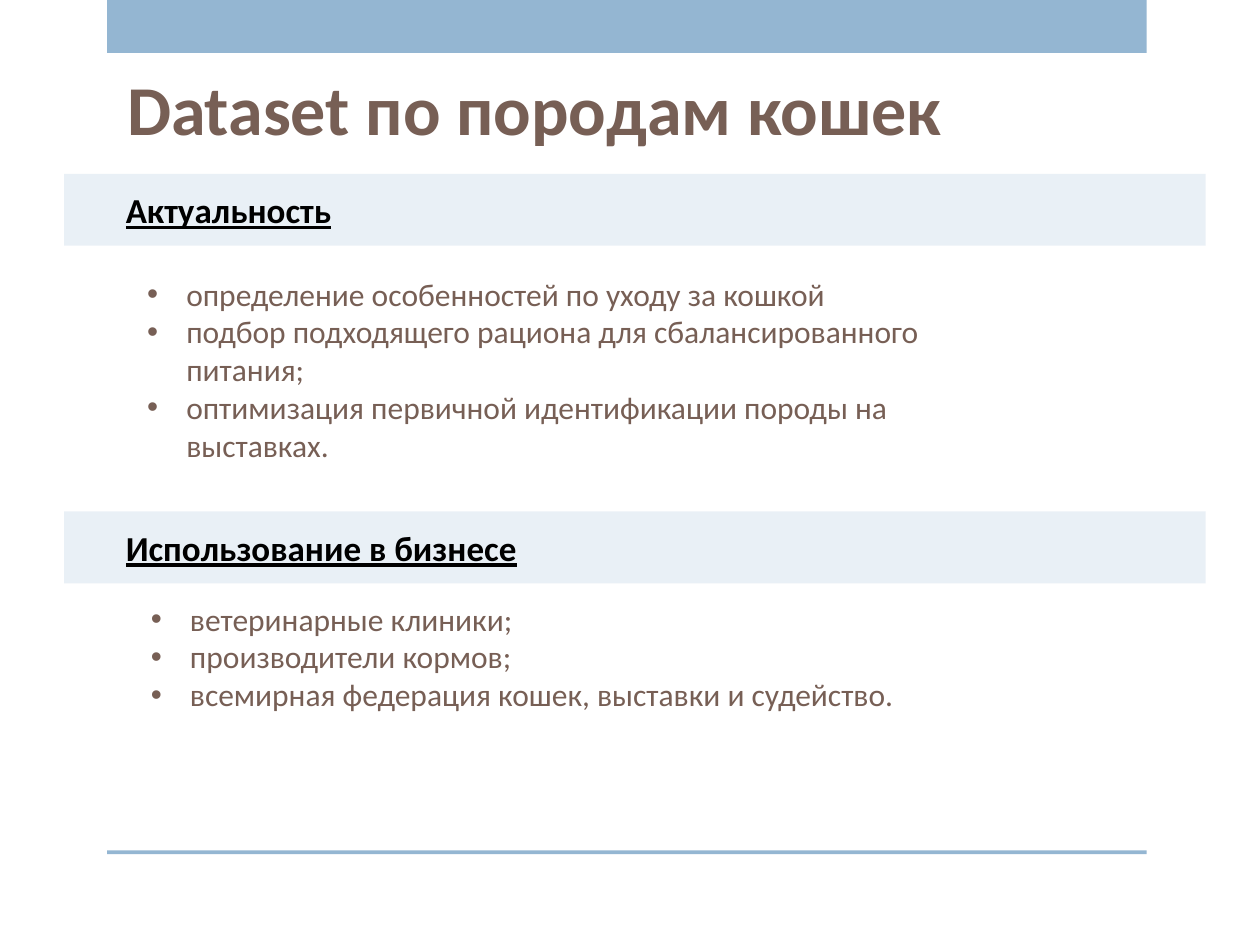
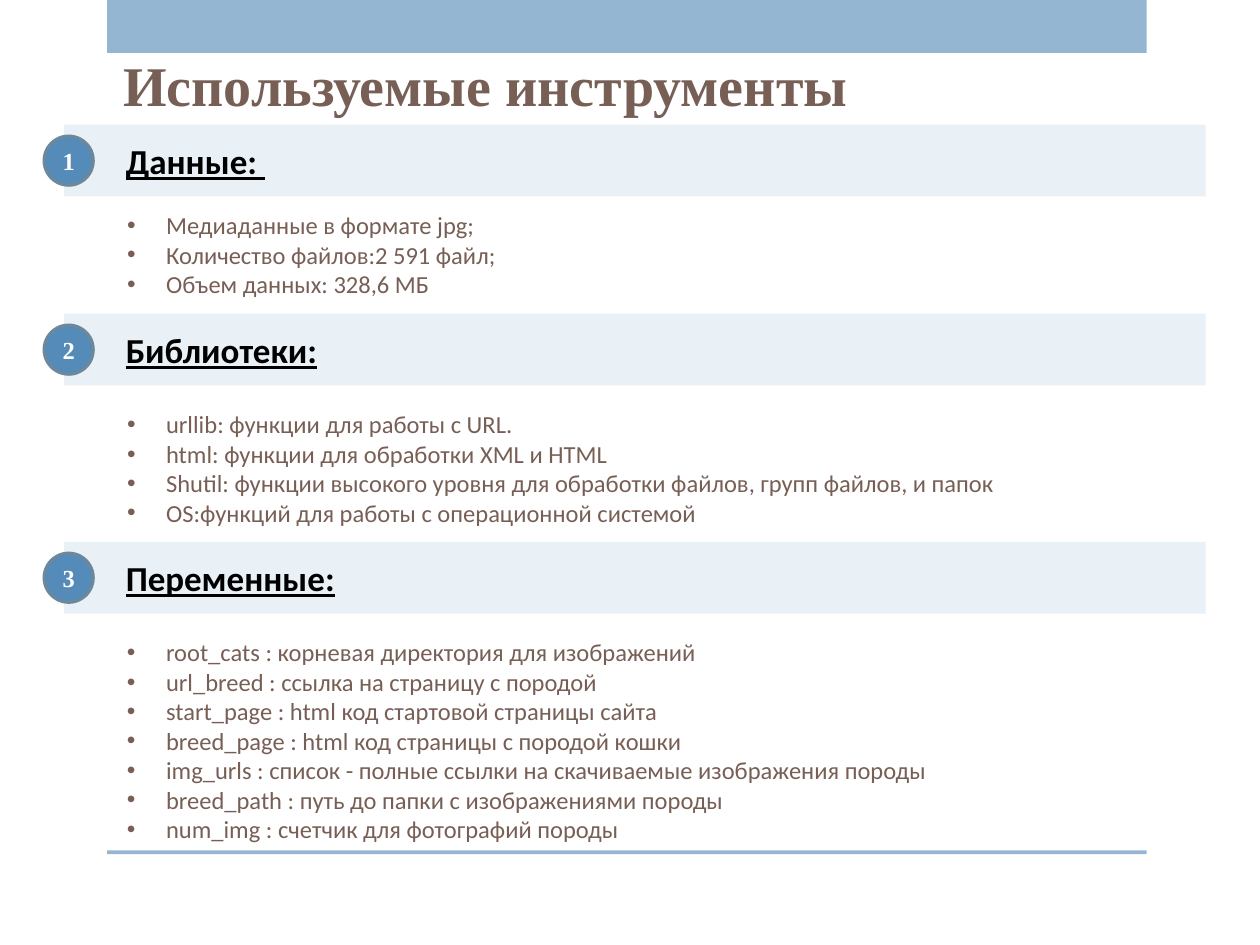
from pptx import Presentation
from pptx.dml.color import RGBColor
from pptx.enum.shapes import MSO_SHAPE
from pptx.enum.text import MSO_ANCHOR, PP_ALIGN
from pptx.oxml.ns import qn
from pptx.util import Inches, Pt
from lxml import etree

# Content: sections are (heading, bar top, bullet box (left, top, width, height), bullets)
SLIDES = [
    {
        "title": ("Dataset по породам кошек", (0.91, 0.47, 8.19, 1.08), "Calibri", 40),
        "bullet_size": 18,
        "numbered": False,
        "sections": [
            ("Актуальность", 1.38, (1.07, 2.13, 6.38, 1.62), [
                "определение особенностей по уходу за кошкой",
                "подбор подходящего рациона для сбалансированного питания;",
                "оптимизация первичной идентификации породы на выставках.",
            ]),
            ("Использование в бизнесе", 4.06, (1.1, 4.71, 6.46, 1.01), [
                "ветеринарные клиники;",
                "производители кормов;",
                "всемирная федерация кошек, выставки и судейство.",
            ]),
        ],
    },
    {
        "title": ("Используемые инструменты", (0.88, 0.35, 6.01, 0.64), "Times New Roman", 32),
        "bullet_size": 14,
        "numbered": True,
        "sections": [
            ("Данные: ", 0.99, (0.91, 1.62, 3.31, 0.81), [
                "Медиаданные в формате jpg;",
                "Количество файлов:2 591 файл;",
                "Объем данных: 328,6 МБ",
            ]),
            ("Библиотеки:", 2.49, (0.91, 3.2, 8.19, 1.28), [
                "urllib: функции для работы с URL.",
                "html: функции для обработки XML и HTML",
                "Shutil: функции высокого уровня для обработки файлов, групп файлов, и папок",
                "OS:функций для работы с операционной системой",
            ]),
            ("Переменные:", 4.3, (0.91, 5.01, 8.43, 1.75), [
                "root_cats : корневая директория для изображений",
                "url_breed : ссылка на страницу с породой",
                "start_page : html код стартовой страницы сайта",
                "breed_page : html код страницы с породой кошки",
                "img_urls : список - полные ссылки на скачиваемые изображения породы",
                "breed_path : путь до папки с изображениями породы",
                "num_img : счетчик для фотографий породы",
            ]),
        ],
    },
]

# Shared style
BLUE = RGBColor(0x94, 0xB6, 0xD2)
BROWN = RGBColor(0x77, 0x5F, 0x55)
BLACK = RGBColor(0, 0, 0)
WHITE = RGBColor(0xFF, 0xFF, 0xFF)
BADGE_FILL = RGBColor(0x55, 0x8B, 0xB8)
BADGE_LINE = RGBColor(0x6D, 0x87, 0x9B)
FRAME_BANDS = [(0.85, 0, 8.25, 0.42), (0.85, 6.75, 8.25, 0.03)]
BAR_LEFT, BAR_WIDTH, BAR_HEIGHT, BAR_INDENT = 0.51, 9.06, 0.57, 0.39
BADGE_LEFT, BADGE_SIZE = 0.35, 0.39
BULLET_INDENT = 0.31


def add_filled(s, kind, box, color, alpha=None):
    sp = s.shapes.add_shape(kind, *map(Inches, box))
    sp.shadow.inherit = False
    sp.fill.solid()
    sp.fill.fore_color.rgb = color
    sp.line.fill.background()
    if alpha:
        clr = sp._element.spPr.find(qn("a:solidFill"))[0]
        etree.SubElement(clr, qn("a:alpha")).set("val", str(alpha * 1000))
    return sp


def format_runs(p, font, size, color, bold=False, underline=False):
    for r in p.runs:
        r.font.name = font
        r.font.size = Pt(size)
        r.font.color.rgb = color
        r.font.bold = bold
        r.font.underline = underline


def set_indent(p, left, first=0, bullet=None):
    pPr = p._p.get_or_add_pPr()
    pPr.set("marL", str(Inches(left)))
    pPr.set("indent", str(Inches(first)))
    if bullet:
        etree.SubElement(pPr, qn("a:buFont")).set("typeface", "Arial")
        etree.SubElement(pPr, qn("a:buChar")).set("char", bullet)


def add_text(s, box, text):
    tf = s.shapes.add_textbox(*map(Inches, box)).text_frame
    tf.word_wrap = True
    tf.text = text
    return tf


def add_bullets(s, box, items, size):
    tf = add_text(s, box, "\n".join(items))
    for p in tf.paragraphs:
        set_indent(p, BULLET_INDENT, -BULLET_INDENT, "•")
        format_runs(p, "Calibri", size, BROWN)


def add_bar(s, top, heading):
    sp = add_filled(s, MSO_SHAPE.RECTANGLE, (BAR_LEFT, top, BAR_WIDTH, BAR_HEIGHT), BLUE, 20)
    tf = sp.text_frame
    tf.text = heading
    tf.vertical_anchor = MSO_ANCHOR.MIDDLE
    p = tf.paragraphs[0]
    p.alignment = PP_ALIGN.LEFT
    set_indent(p, BAR_INDENT)
    format_runs(p, "Calibri", 20, BLACK, bold=True, underline=True)


def add_badge(s, bar_top, number):
    top = bar_top + (BAR_HEIGHT - BADGE_SIZE) / 2
    sp = add_filled(s, MSO_SHAPE.OVAL, (BADGE_LEFT, top, BADGE_SIZE, BADGE_SIZE), BADGE_FILL)
    sp.line.color.rgb = BADGE_LINE
    sp.line.width = Pt(1.75)
    tf = sp.text_frame
    tf.margin_left = tf.margin_right = tf.margin_top = tf.margin_bottom = 0
    tf.vertical_anchor = MSO_ANCHOR.MIDDLE
    tf.text = str(number)
    p = tf.paragraphs[0]
    p.alignment = PP_ALIGN.CENTER
    format_runs(p, "Times New Roman", 14, WHITE, bold=True)


def build_slide(prs, content):
    s = prs.slides.add_slide(prs.slide_layouts[6])
    # Top band and footer rule
    for band in FRAME_BANDS:
        add_filled(s, MSO_SHAPE.RECTANGLE, band, BLUE)
    # Title
    title, box, font, size = content["title"]
    format_runs(add_text(s, box, title).paragraphs[0], font, size, BROWN, bold=True)
    # Sections
    for number, (heading, top, bullet_box, items) in enumerate(content["sections"], 1):
        add_bullets(s, bullet_box, items, content["bullet_size"])
        add_bar(s, top, heading)
        if content["numbered"]:
            add_badge(s, top, number)


def main():
    prs = Presentation()
    prs.slide_width, prs.slide_height = Inches(10), Inches(7.5)
    for content in SLIDES:
        build_slide(prs, content)
    prs.save("out.pptx")


if __name__ == "__main__":
    main()
